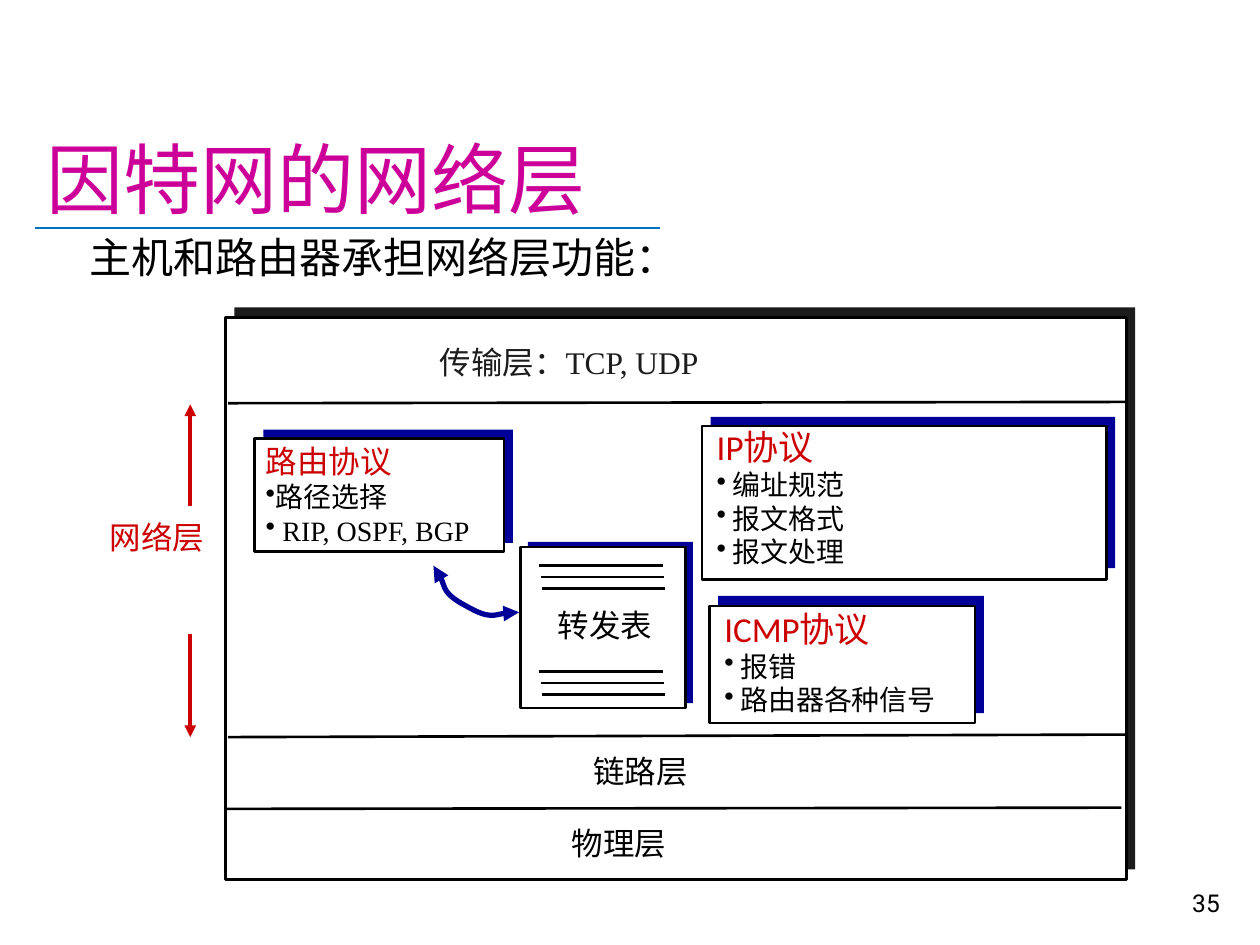
from lxml import etree
from pptx import Presentation
from pptx.dml.color import RGBColor
from pptx.enum.shapes import MSO_CONNECTOR, MSO_SHAPE
from pptx.enum.text import MSO_ANCHOR, MSO_AUTO_SIZE, PP_ALIGN
from pptx.oxml.ns import qn
from pptx.util import Inches, Pt

STRAIGHT = MSO_CONNECTOR.STRAIGHT
RECTANGLE = MSO_SHAPE.RECTANGLE
TOP, BOTTOM = MSO_ANCHOR.TOP, MSO_ANCHOR.BOTTOM
LEFT, CENTER, RIGHT = PP_ALIGN.LEFT, PP_ALIGN.CENTER, PP_ALIGN.RIGHT
NO_AUTOFIT = MSO_AUTO_SIZE.NONE

BLACK = RGBColor(0x00, 0x00, 0x00)
CHARCOAL = RGBColor(0x1C, 0x1C, 0x1C)
WHITE = RGBColor(0xFF, 0xFF, 0xFF)
NAVY = RGBColor(0x00, 0x00, 0x99)
BLUE = RGBColor(0x00, 0x70, 0xC0)
RED = RGBColor(0xCC, 0x00, 0x00)
MAGENTA = RGBColor(0xCC, 0x00, 0x99)
SERIF = "Times New Roman"


def write(shape, box, lines, alignment=LEFT, anchor=TOP, wrap=False):
    """Place a text shape; each line is (text, size, font, colour, bullet)."""
    shape.left, shape.top, shape.width, shape.height = map(Inches, box)
    frame = shape.text_frame
    frame.auto_size = NO_AUTOFIT
    frame.word_wrap = wrap
    frame.vertical_anchor = anchor
    frame.text = "\n".join(line[0] for line in lines)
    for paragraph, (_, size, font, colour, bullet) in zip(frame.paragraphs, lines):
        paragraph.alignment = alignment
        properties = paragraph._p.get_or_add_pPr()
        if bullet:
            etree.SubElement(properties, qn("a:buChar")).set("char", bullet)
        else:
            etree.SubElement(properties, qn("a:buNone"))
        for run in paragraph.runs:
            run.font.size = Pt(size)
            run.font.name = font
            run.font.color.rgb = colour


def add_line(start, end, colour=BLACK, width=1.5, arrow=False):
    line = slide.shapes.add_connector(STRAIGHT, *map(Inches, start + end))
    line.line.color.rgb = colour
    line.line.width = Pt(width)
    if arrow:
        etree.SubElement(line.line._get_or_add_ln(), qn("a:tailEnd")).set("type", "triangle")
    etree.SubElement(line._element.spPr, qn("a:effectLst"))


presentation = Presentation()
presentation.slide_width = Inches(10)
presentation.slide_height = Inches(7.5)
slide = presentation.slides.add_slide(presentation.slide_layouts[1])

# Heading, introduction and slide number
add_line((0.28, 1.81), (5.24, 1.81), BLUE, 1.25)
write(slide.shapes.title, (0.27, 0.23, 9.51, 1.6),
      [("因特网的网络层", 44, "Roboto", MAGENTA, None)], anchor=BOTTOM, wrap=True)
write(slide.placeholders[1], (0.61, 1.79, 8.24, 0.48),
      [("主机和路由器承担网络层功能：", 24, SERIF, BLACK, None)], wrap=True)
write(slide.shapes.add_textbox(0, 0, 0, 0), (7.7, 6.83, 2.08, 0.5),
      [("35", 14, "Roboto", BLACK, None)], RIGHT, BOTTOM, True)

# Panels, each a white box in front of an offset backing:
# left, top, width, height, backing colour, backing offset, backing height
panels = [
    (1.79, 2.52, 7.15, 4.46, CHARCOAL, (0.07, -0.08), 4.46),
    (4.13, 4.34, 1.31, 1.28, NAVY, (0.06, -0.04), 1.28),
    (2.02, 3.48, 1.98, 0.9, NAVY, (0.07, -0.07), 0.9),
    (5.57, 3.38, 3.21, 1.22, NAVY, (0.07, -0.07), 1.2),
    (5.63, 4.81, 2.11, 0.93, NAVY, (0.07, -0.08), 0.93),
]
for left, top, width, height, colour, (shift_x, shift_y), backing_height in panels:
    backing = slide.shapes.add_shape(RECTANGLE, Inches(left + shift_x), Inches(top + shift_y),
                                     Inches(width), Inches(backing_height))
    front = slide.shapes.add_shape(RECTANGLE, *map(Inches, (left, top, width, height)))
    for shape, fill in ((backing, colour), (front, WHITE)):
        shape.shadow.inherit = False
        shape.fill.solid()
        shape.fill.fore_color.rgb = fill
    backing.line.fill.background()
    front.line.color.rgb = BLACK
    front.line.width = Pt(1.5)

# Layer dividers
for start, end in [((1.81, 3.2), (8.95, 3.19)),
                   ((1.81, 5.85), (8.95, 5.83)),
                   ((1.78, 6.42), (8.9, 6.41))]:
    add_line(start, end)

# Rows of the forwarding table
for first_row in (4.49, 5.33):
    for row in range(3):
        left, top = 4.28 + 0.01 * row, first_row + 0.09 * row
        add_line((left, top), (left + 0.98, top))

# Labels
labels = [
    ("传输层：TCP, UDP", (3.39, 2.67, 2.34, 0.4), CHARCOAL, LEFT),
    ("转发表", (4.32, 4.76, 0.96, 0.4), BLACK, CENTER),
    ("链路层", (4.61, 5.92, 0.96, 0.4), BLACK, LEFT),
    ("物理层", (4.44, 6.49, 0.96, 0.4), BLACK, LEFT),
    ("网络层", (0.76, 4.06, 0.96, 0.4), RED, RIGHT),
]
for text, box, colour, alignment in labels:
    write(slide.shapes.add_textbox(0, 0, 0, 0), box,
          [(text, 18, SERIF, colour, None)], alignment)

# Protocol lists
protocols = [
    ("路由协议", 18, (2.01, 3.46, 1.84, 0.94), ["路径选择", " RIP, OSPF, BGP"]),
    ("IP协议", 20, (5.59, 3.33, 1.23, 1.24), [" 编址规范", " 报文格式", " 报文处理"]),
    ("ICMP协议", 20, (5.65, 4.77, 2.08, 0.98), [" 报错", " 路由器各种信号"]),
]
for heading, size, box, items in protocols:
    lines = [(heading, size, "Calibri", RED, None)]
    lines += [(item, 16, SERIF, BLACK, "•") for item in items]
    write(slide.shapes.add_textbox(0, 0, 0, 0), box, lines)

# Extent of the network layer
add_line((1.51, 4.02), (1.51, 3.21), RED, 2.25, arrow=True)
add_line((1.51, 5.03), (1.51, 5.85), RED, 2.25, arrow=True)

# Curved double arrow from the routing protocols to the forwarding table
curve_points = [(3.44, 4.49), (3.49, 4.52), (3.51, 4.71), (3.7, 4.81),
                (3.89, 4.92), (4.04, 4.85), (4.12, 4.86)]
points = [(Inches(x), Inches(y)) for x, y in curve_points]
builder = slide.shapes.build_freeform(*points[0])
builder.add_line_segments(points[1:], close=False)
curve = builder.convert_to_shape()
curve.shadow.inherit = False
curve.fill.background()
curve.line.color.rgb = NAVY
curve.line.width = Pt(3)
for end in ("a:headEnd", "a:tailEnd"):
    etree.SubElement(curve.line._get_or_add_ln(), qn(end)).set("type", "triangle")
segments = list(curve._element.iter(qn("a:lnTo")))
outline = segments[0].getparent()
for first in range(0, len(segments), 3):
    bezier = etree.SubElement(outline, qn("a:cubicBezTo"))
    for segment in segments[first:first + 3]:
        bezier.append(segment[0])
        outline.remove(segment)

presentation.save("out.pptx")
